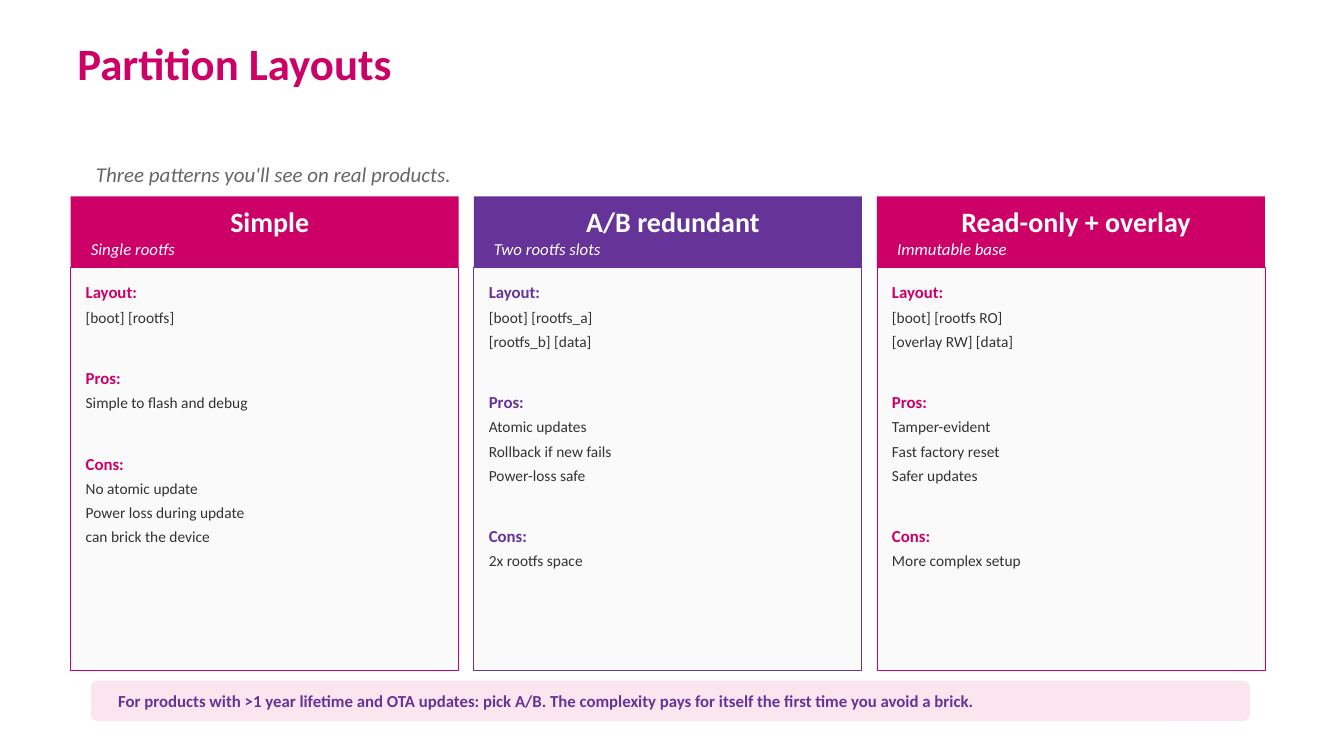
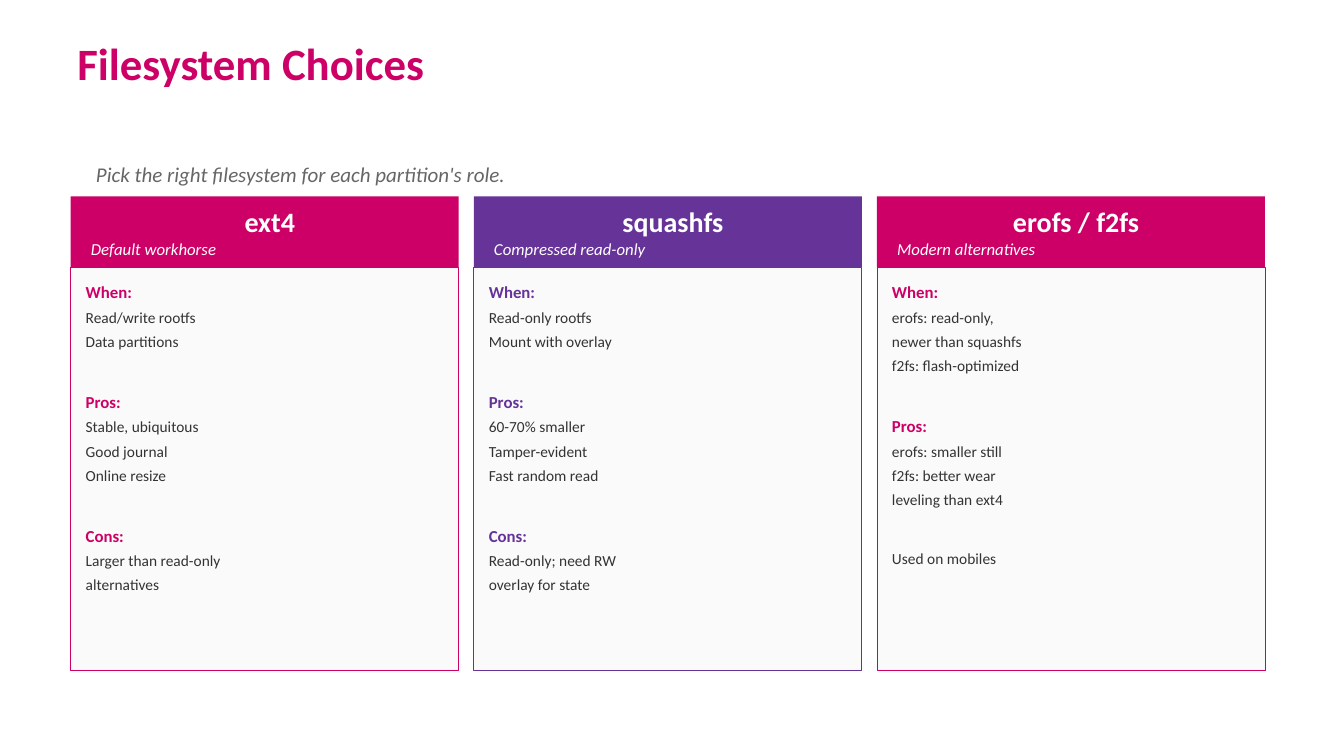
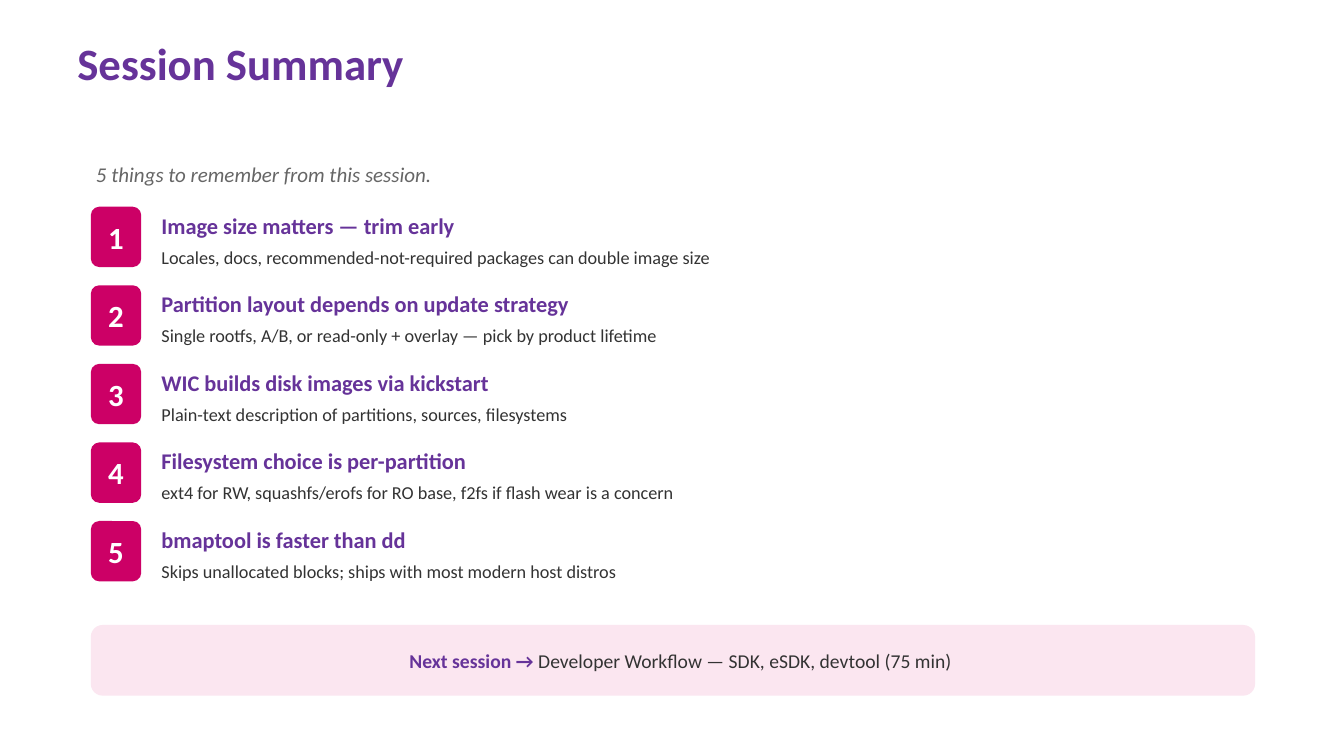
from dataclasses import dataclass
from itertools import cycle

from pptx import Presentation
from pptx.dml.color import RGBColor
from pptx.enum.shapes import MSO_SHAPE
from pptx.enum.text import MSO_ANCHOR, PP_ALIGN
from pptx.util import Cm, Pt

RECT = MSO_SHAPE.RECTANGLE
ROUNDED = MSO_SHAPE.ROUNDED_RECTANGLE
TOP, MIDDLE = MSO_ANCHOR.TOP, MSO_ANCHOR.MIDDLE
LEFT, CENTER = PP_ALIGN.LEFT, PP_ALIGN.CENTER


@dataclass(frozen=True)
class Theme:
    font: str = "Calibri"
    # Colours
    pink: str = "CC0066"
    purple: str = "663399"
    blush: str = "FBE6F0"
    card: str = "FAFAFA"
    ink: str = "333333"
    grey: str = "666666"
    white: str = "FFFFFF"
    # Type sizes
    title: int = 32
    badge: int = 22
    card_title: int = 20
    takeaway: int = 16
    subtitle: int = 15
    next_session: int = 14
    detail: int = 13
    label: int = 12
    body: int = 11


THEME = Theme()

# Shared positions in centimetres
MARGIN = 2.29
CONTENT_WIDTH = 29.21
INSET = 0.13
CARD_LEFT, CARD_TOP, CARD_WIDTH, CARD_GAP = 1.78, 4.95, 9.78, 0.38
CARD_HEADER_HEIGHT, CARD_BODY_HEIGHT = 1.78, 10.16
TAKEAWAY_TOP, TAKEAWAY_PITCH = 5.21, 1.98

# Cards: title, tagline, sections of (label, lines)
LAYOUT_CARDS = [
    ("Simple", "Single rootfs", [
        ("Layout:", ["[boot] [rootfs]"]),
        ("Pros:", ["Simple to flash and debug"]),
        ("Cons:", ["No atomic update", "Power loss during update",
                   "can brick the device"]),
    ]),
    ("A/B redundant", "Two rootfs slots", [
        ("Layout:", ["[boot] [rootfs_a]", "[rootfs_b] [data]"]),
        ("Pros:", ["Atomic updates", "Rollback if new fails",
                   "Power-loss safe"]),
        ("Cons:", ["2x rootfs space"]),
    ]),
    ("Read-only + overlay", "Immutable base", [
        ("Layout:", ["[boot] [rootfs RO]", "[overlay RW] [data]"]),
        ("Pros:", ["Tamper-evident", "Fast factory reset", "Safer updates"]),
        ("Cons:", ["More complex setup"]),
    ]),
]

FILESYSTEM_CARDS = [
    ("ext4", "Default workhorse", [
        ("When:", ["Read/write rootfs", "Data partitions"]),
        ("Pros:", ["Stable, ubiquitous", "Good journal", "Online resize"]),
        ("Cons:", ["Larger than read-only", "alternatives"]),
    ]),
    ("squashfs", "Compressed read-only", [
        ("When:", ["Read-only rootfs", "Mount with overlay"]),
        ("Pros:", ["60-70% smaller", "Tamper-evident", "Fast random read"]),
        ("Cons:", ["Read-only; need RW", "overlay for state"]),
    ]),
    ("erofs / f2fs", "Modern alternatives", [
        ("When:", ["erofs: read-only,", "newer than squashfs",
                   "f2fs: flash-optimized"]),
        ("Pros:", ["erofs: smaller still", "f2fs: better wear",
                   "leveling than ext4"]),
        (None, ["Used on mobiles"]),
    ]),
]

TAKEAWAYS = [
    ("Image size matters — trim early",
     "Locales, docs, recommended-not-required packages can double image size"),
    ("Partition layout depends on update strategy",
     "Single rootfs, A/B, or read-only + overlay — pick by product lifetime"),
    ("WIC builds disk images via kickstart",
     "Plain-text description of partitions, sources, filesystems"),
    ("Filesystem choice is per-partition",
     "ext4 for RW, squashfs/erofs for RO base, f2fs if flash wear is a concern"),
    ("bmaptool is faster than dd",
     "Skips unallocated blocks; ships with most modern host distros"),
]


# Text helpers
def style_run(run, size, color, bold=False, italic=False):
    font = run.font
    font.name, font.size = THEME.font, Pt(size)
    font.bold, font.italic = bold, italic
    font.color.rgb = RGBColor.from_string(color)


def set_frame(shape, left=INSET, right=INSET, anchor=TOP):
    frame = shape.text_frame
    frame.word_wrap = True
    frame.vertical_anchor = anchor
    frame.margin_left, frame.margin_right = Cm(left), Cm(right)
    frame.margin_top = frame.margin_bottom = Cm(INSET)
    return frame


def write(frame, text, size, color, align=LEFT, **weight):
    """Fill the first paragraph, or append one if it already has text."""
    paragraph = frame.add_paragraph() if frame.text else frame.paragraphs[0]
    paragraph.text = text
    paragraph.alignment = align
    style_run(paragraph.runs[0], size, color, **weight)
    return paragraph


# Element helpers
def add_block(slide, kind, box, fill, outline=None):
    block = slide.shapes.add_shape(kind, *map(Cm, box))
    block.shadow.inherit = False
    block.fill.solid()
    block.fill.fore_color.rgb = RGBColor.from_string(fill)
    if outline:
        block.line.color.rgb = RGBColor.from_string(outline)
        block.line.width = Pt(0.5)
    else:
        block.line.fill.background()
    return block


def add_label(slide, box, text, size, color, anchor=TOP, inset=INSET, **weight):
    label = slide.shapes.add_textbox(*map(Cm, box))
    write(set_frame(label, inset, inset, anchor), text, size, color, **weight)


def add_titled_slide(deck, title, subtitle, title_color):
    slide = deck.slides.add_slide(deck.slide_layouts[6])
    add_label(slide, (1.7, 0, 30.48, 3.18), title, THEME.title, title_color,
              anchor=MIDDLE, inset=0.25, bold=True)
    add_label(slide, (MARGIN, 3.94, CONTENT_WIDTH, 1.02), subtitle,
              THEME.subtitle, THEME.grey, italic=True)
    return slide


def add_card(slide, left, accent, title, tagline, sections):
    header = add_block(slide, RECT,
                       (left, CARD_TOP, CARD_WIDTH, CARD_HEADER_HEIGHT), accent)
    frame = set_frame(header, left=0.51, right=0.25, anchor=MIDDLE)
    write(frame, title, THEME.card_title, THEME.white, CENTER, bold=True)
    write(frame, tagline, THEME.label, THEME.white, italic=True)

    body = add_block(slide, RECT,
                     (left, CARD_TOP + CARD_HEADER_HEIGHT, CARD_WIDTH,
                      CARD_BODY_HEIGHT), THEME.card, accent)
    frame = set_frame(body, left=0.38, right=0.38)
    frame.margin_top = Cm(0.38)
    for number, (label, lines) in enumerate(sections):
        paragraphs = []
        if label:
            paragraphs.append(write(frame, label, THEME.label, accent, bold=True))
        paragraphs += [write(frame, line, THEME.body, THEME.ink) for line in lines]
        for paragraph in paragraphs:
            paragraph.space_after = Pt(4)
        if number:
            paragraphs[0].space_before = Pt(25.5)


def add_cards(slide, cards):
    accents = cycle([THEME.pink, THEME.purple])
    for column, (card, accent) in enumerate(zip(cards, accents)):
        left = CARD_LEFT + column * (CARD_WIDTH + CARD_GAP)
        add_card(slide, left, accent, *card)


def add_takeaway(slide, number, heading, detail):
    top = TAKEAWAY_TOP + (number - 1) * TAKEAWAY_PITCH
    badge = add_block(slide, ROUNDED, (MARGIN, top, 1.27, 1.52), THEME.pink)
    write(set_frame(badge, 0, 0, MIDDLE), str(number), THEME.badge,
          THEME.white, CENTER, bold=True)
    add_label(slide, (3.94, top, 27.94, 0.89), heading, THEME.takeaway,
              THEME.purple, bold=True)
    add_label(slide, (3.94, top + 0.86, 27.94, 0.89), detail, THEME.detail,
              THEME.ink)


def add_banner(slide, box, text, size, align=LEFT, right=0.64):
    banner = add_block(slide, ROUNDED, box, THEME.blush)
    return write(set_frame(banner, 0.64, right, MIDDLE), text, size,
                 THEME.purple, align, bold=True)


# Slides
def build_partition_layouts(deck):
    slide = add_titled_slide(deck, "Partition Layouts",
                             "Three patterns you'll see on real products.",
                             THEME.pink)
    add_cards(slide, LAYOUT_CARDS)
    add_banner(slide, (MARGIN, 17.15, CONTENT_WIDTH, 1.02),
               "For products with >1 year lifetime and OTA updates: pick A/B. "
               "The complexity pays for itself the first time you avoid a brick.",
               THEME.label)


def build_filesystem_choices(deck):
    slide = add_titled_slide(
        deck, "Filesystem Choices",
        "Pick the right filesystem for each partition's role.", THEME.pink)
    add_cards(slide, FILESYSTEM_CARDS)


def build_session_summary(deck):
    slide = add_titled_slide(deck, "Session Summary",
                             "5 things to remember from this session.",
                             THEME.purple)
    for number, takeaway in enumerate(TAKEAWAYS, start=1):
        add_takeaway(slide, number, *takeaway)
    next_session = add_banner(slide, (MARGIN, 15.75, 29.34, 1.78),
                              "Next session → ", THEME.next_session, CENTER,
                              right=0.25)
    topic = next_session.add_run()
    topic.text = "Developer Workflow — SDK, eSDK, devtool (75 min)"
    style_run(topic, THEME.next_session, THEME.ink)


def main():
    deck = Presentation()
    deck.slide_width, deck.slide_height = Cm(33.87), Cm(19.05)
    build_partition_layouts(deck)
    build_filesystem_choices(deck)
    build_session_summary(deck)
    deck.save("out.pptx")


if __name__ == "__main__":
    main()
